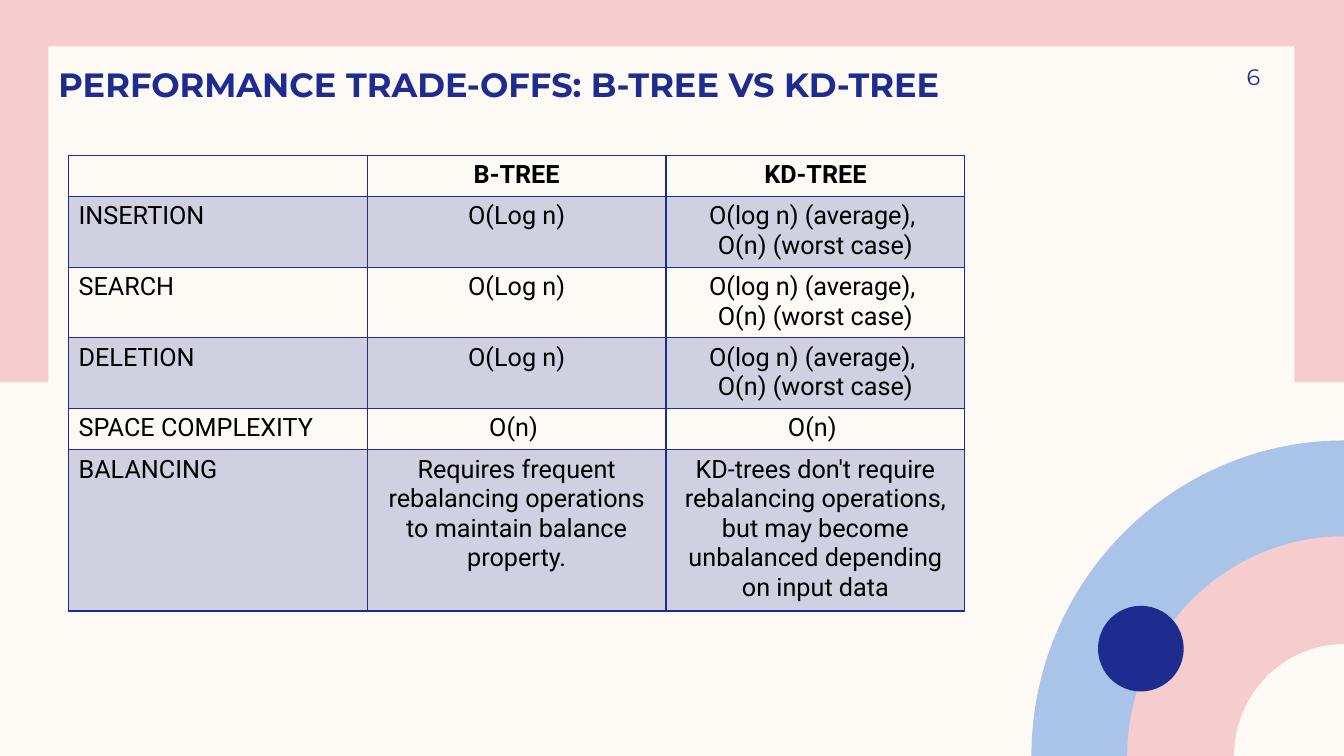
"""Builds the slide comparing B-tree and KD-tree performance."""
import pptx
import pptx.dml.color
import pptx.enum.shapes
import pptx.enum.text
import pptx.oxml
import pptx.oxml.ns
import pptx.util

W, H = 13.33, 7.5
NAVY, PINK, BLUE, CREAM, BLACK = "1F2C8F", "F5CDCE", "AAC3E8", "FDFAF6", "000000"
TITLE = "PERFORMANCE TRADE-OFFS: B-TREE VS KD-TREE"
PAGE = "6"
KD_COST = "O(log n) (average), \nO(n) (worst case)"
ROWS = [
    ("", "B-TREE", "KD-TREE"),
    ("INSERTION", "O(Log n)", KD_COST),
    ("SEARCH", "O(Log n)", KD_COST),
    ("DELETION", "O(Log n)", KD_COST),
    ("SPACE COMPLEXITY", "O(n) ", "O(n) "),
    ("BALANCING",
     "Requires frequent rebalancing operations to maintain balance property.",
     "KD-trees don't require rebalancing operations,\n"
     "but may become unbalanced depending on input data"),
]
TABLE_BOX = (0.68, 1.54, 8.89, 4.51)
ROW_H = 0.41
RINGS = [(3.1, 3.13, BLUE), (2.15, 2.18, PINK), (1.09, 1.11, CREAM)]
CURVE = 0.55
ALIGN = pptx.enum.text.PP_ALIGN
ANCHOR = pptx.enum.text.MSO_ANCHOR
SHAPE = pptx.enum.shapes.MSO_SHAPE
IN = pptx.util.Inches
NS = pptx.oxml.ns.nsdecls("a")


def rgb(color):
    """Turns a hex string into a colour."""
    return pptx.dml.color.RGBColor.from_string(color)


def paint(sp, color):
    """Gives a shape a flat fill without outline or shadow."""
    sp.shadow.inherit = False
    sp.fill.solid()
    sp.fill.fore_color.rgb = rgb(color)
    sp.line.fill.background()


def add_preset(shapes, kind, box, color):
    """Adds a flat preset shape."""
    paint(shapes.add_shape(kind, *map(IN, box)), color)


def add_quarter(shapes, width, height, color):
    """Adds a quarter disc in the bottom right corner, its slant bent to a curve."""
    w, h = IN(width), IN(height)
    right, bottom = IN(W), IN(H)
    fb = shapes.build_freeform(right, bottom)
    fb.add_line_segments([(right - w, bottom), (right, bottom - h)], close=True)
    sp = fb.convert_to_shape()
    slant = sp._element.findall(".//" + pptx.oxml.ns.qn("a:lnTo"))[1]
    points = [(0, h * (1 - CURVE)), (w * (1 - CURVE), 0), (w, 0)]
    pts = "".join(f'<a:pt x="{round(x)}" y="{round(y)}"/>' for x, y in points)
    bend = pptx.oxml.parse_xml(f"<a:cubicBezTo {NS}>{pts}</a:cubicBezTo>")
    slant.getparent().replace(slant, bend)
    paint(sp, color)


def write(tf, text, font, color, size, bold=False, align=ALIGN.LEFT):
    """Writes text, one paragraph a line, in one format."""
    tf.text = text
    look = {"name": font, "size": pptx.util.Pt(size), "bold": bold}
    for p in tf.paragraphs:
        p.alignment = align
        for r in p.runs:
            for name, value in look.items():
                setattr(r.font, name, value)
            r.font.color.rgb = rgb(color)


def frame(tf, **values):
    """Sets text frame values."""
    for name, value in values.items():
        setattr(tf, name, value)


def style_cell(cell, shaded):
    """Draws the borders of a cell and fills it when shaded."""
    tcPr = cell._tc.get_or_add_tcPr()
    if shaded:
        cell.fill.solid()
        cell.fill.fore_color.rgb = rgb(NAVY)
        clr = tcPr.find(".//" + pptx.oxml.ns.qn("a:srgbClr"))
        clr.append(pptx.oxml.parse_xml(f'<a:alpha {NS} val="20000"/>'))
    else:
        cell.fill.background()
    for i, side in enumerate("LRTB"):
        tcPr.insert(i, pptx.oxml.parse_xml(
            f'<a:ln{side} {NS} w="{pptx.util.Pt(1)}"><a:solidFill>'
            f'<a:srgbClr val="{NAVY}"/></a:solidFill></a:ln{side}>'))


def add_grid(shapes):
    """Adds the comparison table, whose rows grow with their text."""
    gf = shapes.add_table(len(ROWS), len(ROWS[0]), *map(IN, TABLE_BOX))
    table = gf.table
    table.first_row = table.horz_banding = False
    for i, texts in enumerate(ROWS):
        table.rows[i].height = IN(ROW_H)
        for j, text in enumerate(texts):
            cell = table.cell(i, j)
            write(cell.text_frame, text, "Roboto", BLACK, 18, i == 0,
                  ALIGN.CENTER if j else ALIGN.LEFT)
            style_cell(cell, i % 2 == 1)
    gf.height = IN(TABLE_BOX[3])


def main():
    """Builds and saves the slide."""
    prs = pptx.Presentation()
    prs.slide_width, prs.slide_height = IN(W), IN(H)
    s = prs.slides.add_slide(prs.slide_layouts[5])
    s.background.fill.solid()
    s.background.fill.fore_color.rgb = rgb(CREAM)
    shapes = s.shapes

    add_preset(shapes, SHAPE.RECTANGLE, (-0.03, 0, 13.36, 3.79), PINK)
    add_preset(shapes, SHAPE.RECTANGLE, (0.48, 0.46, 12.36, 6.59), CREAM)
    for width, height, color in RINGS:
        add_quarter(shapes, width, height, color)
    add_preset(shapes, SHAPE.OVAL, (10.89, 6.01, 0.85, 0.85), NAVY)

    title = shapes.title
    title.left, title.top, title.width, title.height = map(IN, (0.48, -0.16, 10.6, 1.19))
    frame(title.text_frame, vertical_anchor=ANCHOR.BOTTOM, margin_top=0, margin_bottom=0,
          word_wrap=True, auto_size=pptx.enum.text.MSO_AUTO_SIZE.NONE)
    write(title.text_frame, TITLE, "Montserrat", NAVY, 24, True)
    shapes._spTree.append(title._element)

    page = shapes.add_textbox(*map(IN, (11.33, 0.5, 1.17, 0.52)))
    frame(page.text_frame, vertical_anchor=ANCHOR.MIDDLE, margin_right=0, word_wrap=True)
    write(page.text_frame, PAGE, "Montserrat", NAVY, 16, align=ALIGN.RIGHT)

    add_grid(shapes)
    prs.save("out.pptx")


if __name__ == "__main__":
    main()
